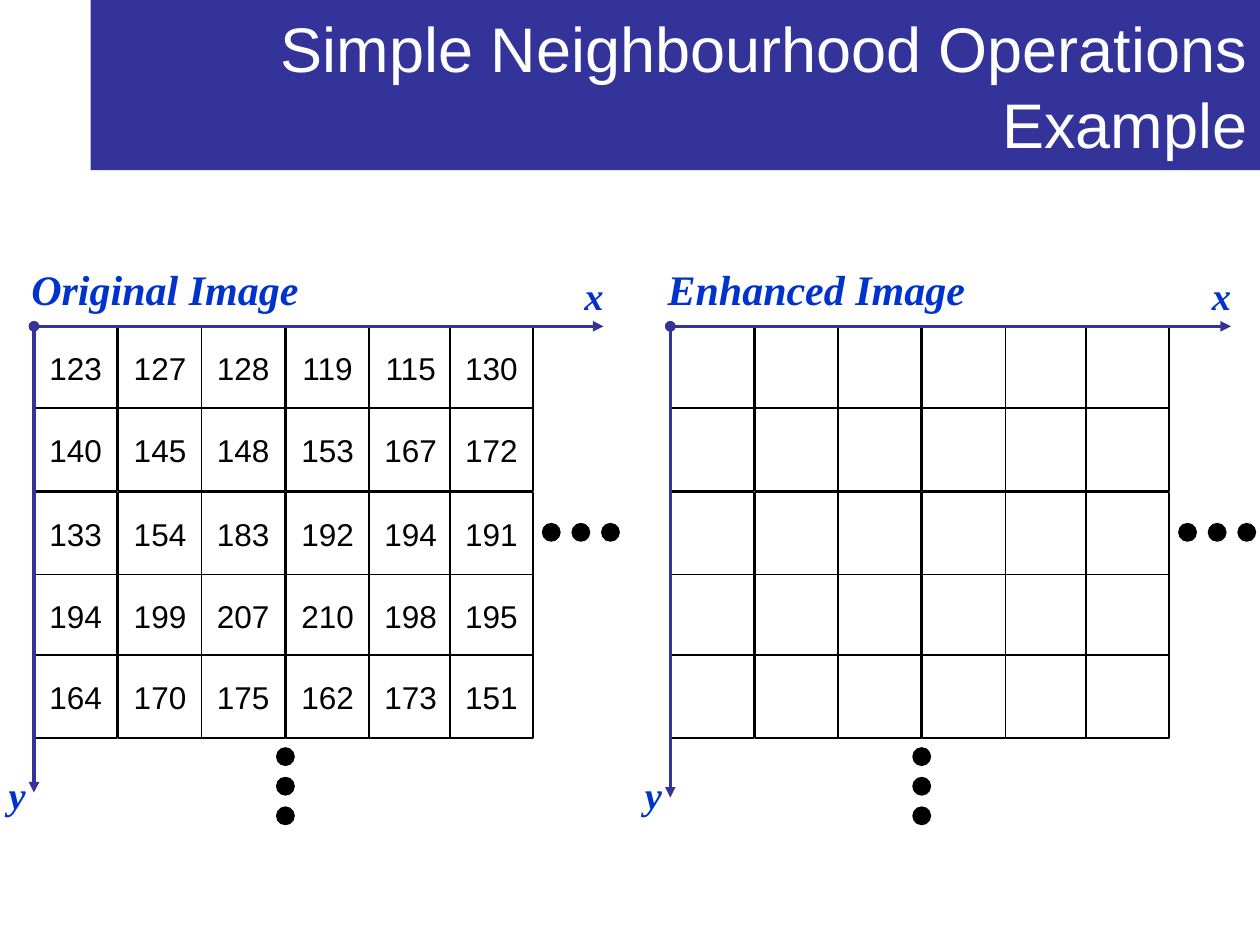
from lxml.etree import SubElement
from pptx import Presentation
from pptx.dml.color import RGBColor
from pptx.enum.shapes import MSO_CONNECTOR, MSO_SHAPE
from pptx.enum.text import MSO_ANCHOR, MSO_AUTO_SIZE, PP_ALIGN
from pptx.oxml.ns import qn
from pptx.util import Inches, Pt

COLORS = {
    "banner": "333399",
    "label": "0033CC",
    "ink": "000000",
    "paper": "FFFFFF",
}
PIXELS = [
    [123, 127, 128, 119, 115, 130],
    [140, 145, 148, 153, 167, 172],
    [133, 154, 183, 192, 194, 191],
    [194, 199, 207, 210, 198, 195],
    [164, 170, 175, 162, 173, 151],
]
BLANK = [[""] * 6 for _ in range(5)]
COLUMNS = [0, 0.67, 1.33, 2, 2.66, 3.3]
ROWS = [0, 0.65, 1.32, 1.97, 2.61]
TOP = 2.59
CELL = 0.66
DOT = 0.15
DOT_STEP = 0.235


def color(name):
    return RGBColor.from_string(COLORS[name])


def style_text(p, size, font, name, bold=False):
    for r in p.runs:
        r.font.size = Pt(size)
        r.font.name = font
        r.font.color.rgb = color(name)
        r.font.bold = r.font.italic = bold


def add_title(s, text):
    sp = s.shapes.title
    sp.left, sp.top = Inches(0.72), Inches(0)
    sp.width, sp.height = Inches(9.28), Inches(1.35)
    sp.fill.solid()
    sp.fill.fore_color.rgb = color("banner")
    tf = sp.text_frame
    tf.text = text
    tf.word_wrap = True
    tf.auto_size = MSO_AUTO_SIZE.NONE
    tf.vertical_anchor = MSO_ANCHOR.MIDDLE
    p = tf.paragraphs[0]
    p.alignment = PP_ALIGN.RIGHT
    style_text(p, 36, "Arial", "paper")


def add_filled(group, kind, x, y, size, fill):
    sp = group.shapes.add_shape(kind, Inches(x), Inches(y), Inches(size), Inches(size))
    sp.shadow.inherit = False
    sp.fill.solid()
    sp.fill.fore_color.rgb = color(fill)
    return sp


def add_cell(group, x, y, value):
    sp = add_filled(group, MSO_SHAPE.RECTANGLE, x, y, CELL, "paper")
    sp.line.color.rgb = color("ink")
    sp.line.width = Pt(1)
    if value:
        tf = sp.text_frame
        tf.text = str(value)
        tf.vertical_anchor = MSO_ANCHOR.MIDDLE
        p = tf.paragraphs[0]
        p.alignment = PP_ALIGN.CENTER
        style_text(p, 18, "Arial", "ink")


def add_axis(group, x1, y1, x2, y2):
    line = group.shapes.add_connector(
        MSO_CONNECTOR.STRAIGHT, Inches(x1), Inches(y1), Inches(x2), Inches(y2)
    )
    line.line.color.rgb = color("banner")
    line.line.width = Pt(2)
    ln = line.line._get_or_add_ln()
    SubElement(ln, qn("a:headEnd"), type="oval")
    SubElement(ln, qn("a:tailEnd"), type="triangle")
    SubElement(line._element.spPr, qn("a:effectLst"))


def add_label(group, x, y, w, h, text, size):
    sp = group.shapes.add_textbox(Inches(x), Inches(y), Inches(w), Inches(h))
    tf = sp.text_frame
    tf.text = text
    tf.word_wrap = False
    tf.auto_size = MSO_AUTO_SIZE.SHAPE_TO_FIT_TEXT
    style_text(tf.paragraphs[0], size, "Times New Roman", "label", bold=True)


def add_dots(s, x, y, dx, dy):
    group = s.shapes.add_group_shape()
    for i in range(3):
        sp = add_filled(group, MSO_SHAPE.OVAL, x + i * dx, y + i * dy, DOT, "ink")
        sp.line.fill.background()


def add_panel(s, left, name, name_width, values, x_end, y_end):
    group = s.shapes.add_group_shape()
    for dy, row in zip(ROWS, values):
        for dx, value in zip(COLUMNS, row):
            add_cell(group, left + dx, TOP + dy, value)
    add_axis(group, left, TOP, x_end, TOP)
    add_axis(group, left, TOP, left, y_end)
    add_label(group, left - 0.12, 2.04, name_width, 0.5, name, 24)
    add_label(group, x_end - 0.25, 2.11, 0.35, 0.47, "x", 22)
    add_label(group, left - 0.3, 6.07, 0.34, 0.47, "y", 22)
    add_dots(s, left + 4.03, 4.15, DOT_STEP, 0)
    add_dots(s, left + 1.92, 5.93, 0, DOT_STEP)


def main():
    prs = Presentation()
    prs.slide_width, prs.slide_height = Inches(10), Inches(7.5)
    s = prs.slides.add_slide(prs.slide_layouts[5])
    add_title(s, "Simple Neighbourhood Operations Example")
    add_panel(s, 0.27, "Original Image", 2.32, PIXELS, 4.79, 6.29)
    add_panel(s, 5.32, "Enhanced Image", 2.56, BLANK, 9.77, 6.33)
    prs.save("out.pptx")


if __name__ == "__main__":
    main()
